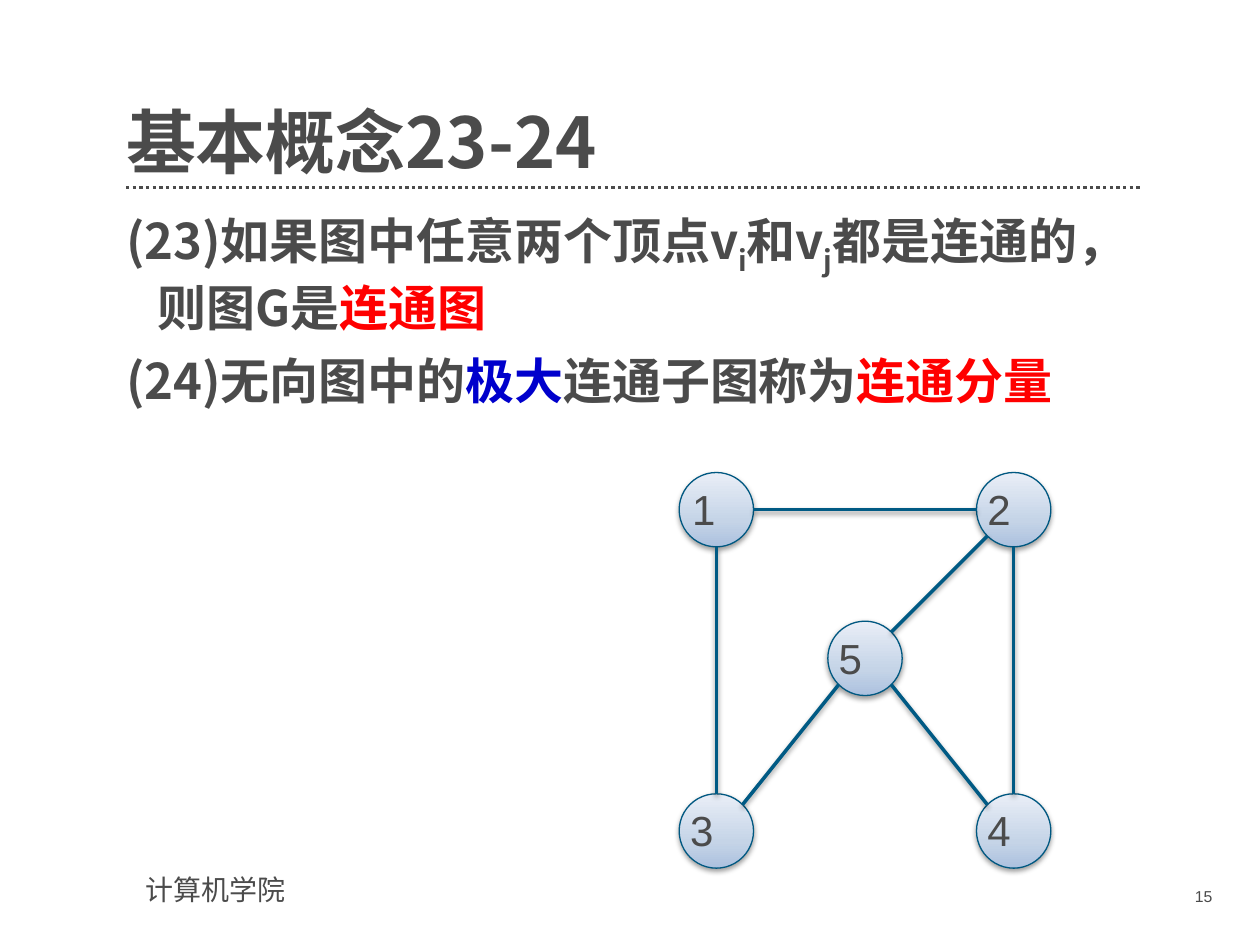
import math
import pptx
import pptx.util
import pptx.dml.color
import pptx.enum.dml
import pptx.enum.shapes
import pptx.enum.text
import pptx.oxml
import pptx.oxml.ns
from pptx.util import Inches, Pt

INK, RED, BLUE = "4B4B4B", "FF0000", "0000CC"
NOTO, ARIAL = "Noto Sans CJK SC", "Arial"
ALIGN = pptx.enum.text.PP_ALIGN

TITLE = "基本概念23-24"
# Each run: text, colour, subscript
BODY = [
    [("(23)如果图中任意两个顶点v", INK, False), ("i", INK, True),
     ("和v", INK, False), ("j", INK, True),
     ("都是连通的，则图G是", INK, False), ("连通图", RED, False)],
    [("(24)无向图中的", INK, False), ("极大", BLUE, False),
     ("连通子图称为", INK, False), ("连通分量", RED, False)],
]
SIZE = 0.59
NODES = {"1": (5.39, 3.75), "2": (7.75, 3.75), "3": (5.39, 6.3),
         "4": (7.75, 6.3), "5": (6.57, 4.93)}
# Each edge: node and the angle at which it leaves, for both ends
EDGES = [("1", 0, "2", 180), ("1", 90, "3", 270), ("4", 270, "2", 90),
         ("5", 135, "3", 315), ("5", 315, "2", 135), ("5", 45, "4", 225)]
STOPS = [(0, "ACC1DF"), (35, "C5D4E7"), (100, "E9EEF7")]

NS = pptx.oxml.ns.nsdecls("a")
SHADOW = (f'<a:effectLst {NS}><a:outerShdw blurRad="{Pt(3.1)}" dist="{Pt(1.6)}" '
          'dir="5400000" rotWithShape="0"><a:srgbClr val="000000">'
          '<a:alpha val="38000"/></a:srgbClr></a:outerShdw></a:effectLst>')


def rgb(code):
    return pptx.dml.color.RGBColor.from_string(code)


def style(font, size, name, color=INK, bold=False):
    font.size, font.name, font.bold = Pt(size), name, bold
    font.color.rgb = rgb(color)
    tag = pptx.oxml.ns.qn("a:latin")
    east = pptx.oxml.parse_xml(f'<a:ea {NS} typeface="{name}"/>')
    font._element.find(tag).addnext(east)


def inset(frame, right=0):
    frame.margin_left = frame.margin_top = frame.margin_bottom = 0
    frame.margin_right = Inches(right)


def add_text(box):
    shape = slide.shapes.add_textbox(*map(Inches, box))
    shape.text_frame.word_wrap = True
    return shape.text_frame


def add_label(box, text, size, align):
    para = add_text(box).paragraphs[0]
    para.text, para.alignment = text, align
    style(para.font, size, ARIAL)


def add_line(start, end, color, width, effect):
    line = slide.shapes.add_connector(
        pptx.enum.shapes.MSO_CONNECTOR.STRAIGHT, *map(Inches, start + end))
    line.line.color.rgb, line.line.width = rgb(color), Pt(width)
    line._element.spPr.append(pptx.oxml.parse_xml(effect))
    return line


def add_node(name, spot):
    node = slide.shapes.add_shape(pptx.enum.shapes.MSO_SHAPE.OVAL,
                                  *map(Inches, spot + (SIZE, SIZE)))
    node.line.color.rgb, node.line.width = rgb("005881"), Pt(0.75)
    stops = "".join(f'<a:gs pos="{pos * 1000}"><a:srgbClr val="{code}"/></a:gs>'
                    for pos, code in STOPS)
    props = node._element.spPr
    props.find(pptx.oxml.ns.qn("a:prstGeom")).addnext(pptx.oxml.parse_xml(
        f'<a:gradFill {NS}><a:gsLst>{stops}</a:gsLst>'
        '<a:lin ang="16200000" scaled="0"/></a:gradFill>'))
    props.append(pptx.oxml.parse_xml(SHADOW))
    frame = node.text_frame
    inset(frame, 0.2)
    frame.vertical_anchor = pptx.enum.text.MSO_ANCHOR.TOP
    para = frame.paragraphs[0]
    para.text = name
    para.alignment = ALIGN.CENTER if name == "1" else ALIGN.LEFT
    style(para.font, 24, ARIAL)


def rim(name, angle):
    """Point on a node's circle; angles run clockwise from the right."""
    x, y = NODES[name]
    turn, half = math.radians(angle), SIZE / 2
    return (x + half + half * math.cos(turn), y + half + half * math.sin(turn))


deck = pptx.Presentation()
deck.slide_width, deck.slide_height = Inches(10), Inches(7.5)
slide = deck.slides.add_slide(deck.slide_layouts[5])

rule = add_line((1, 1.49), (9.06, 1.49), INK, 1.9, f"<a:effectLst {NS}/>")
rule.line.dash_style = pptx.enum.dml.MSO_LINE.ROUND_DOT
add_label((1.06, 6.88, 2.76, 0.37), "计算机学院", 16, ALIGN.LEFT)

title = slide.shapes.title
title.left, title.top, title.width, title.height = map(Inches, (1, 0.55, 8.06, 0.91))
frame = title.text_frame
inset(frame)
frame.vertical_anchor = pptx.enum.text.MSO_ANCHOR.BOTTOM
para = frame.paragraphs[0]
para.text, para.alignment, para.line_spacing = TITLE, ALIGN.LEFT, 0.9
style(para.font, 40, NOTO, bold=True)

frame = add_text((1, 1.67, 8.31, 5))
inset(frame, 0.2)
for i, runs in enumerate(BODY):
    para = frame.paragraphs[0] if i == 0 else frame.add_paragraph()
    para.space_before = Pt(8)
    props = para._p.get_or_add_pPr()
    props.set("marL", str(Inches(0.25)))
    props.set("indent", str(Inches(-0.25)))
    for text, color, sub in runs:
        run = para.add_run()
        run.text = text
        style(run.font, 28, NOTO, color, True)
        if sub:
            run.font._element.set("baseline", "-25000")

add_label((8.73, 6.99, 0.99, 0.29), "15", 9, ALIGN.RIGHT)

for name, spot in NODES.items():
    add_node(name, spot)
for a, out, b, into in EDGES:
    add_line(rim(a, out), rim(b, into), "005A84", 2, SHADOW)

deck.save("out.pptx")
